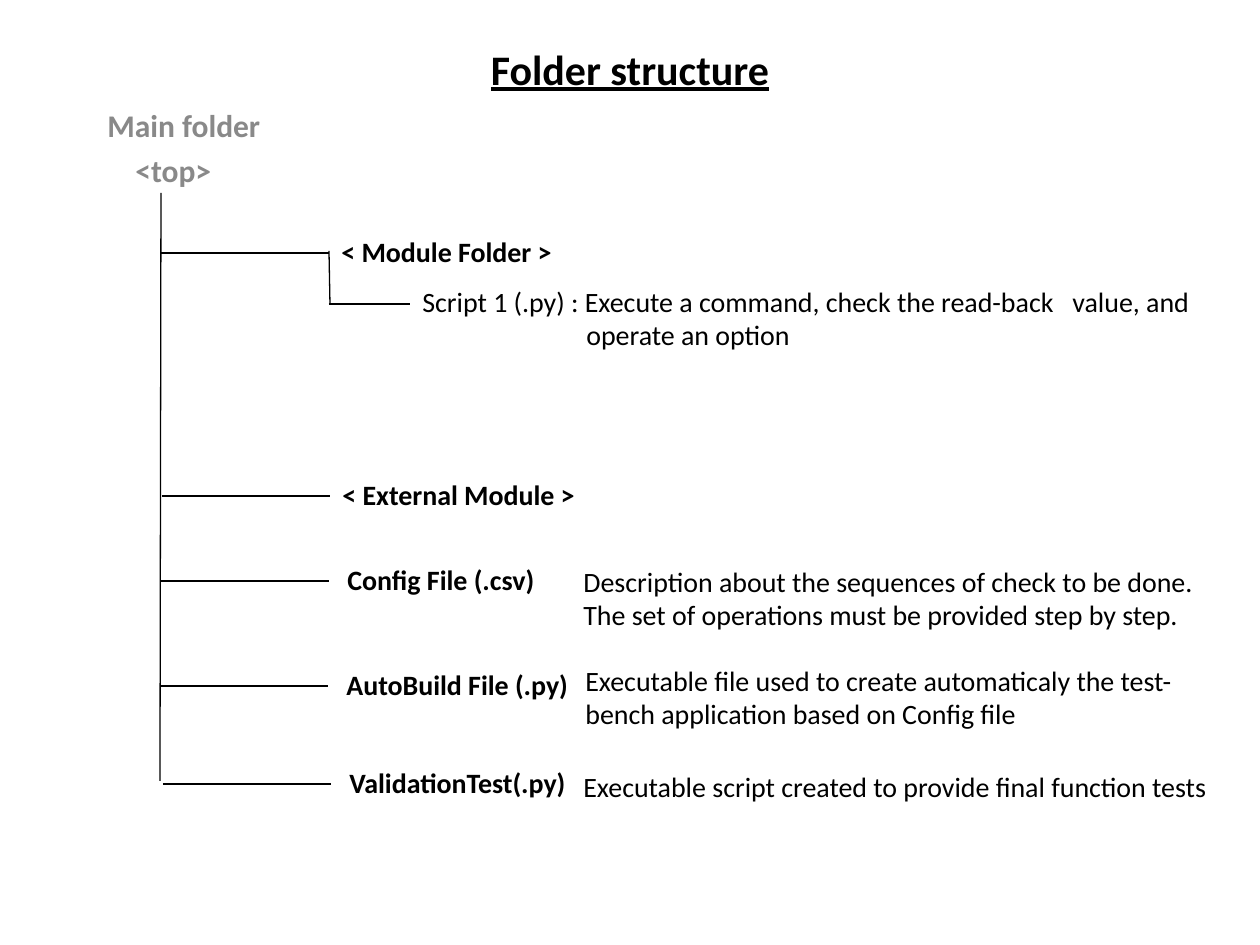
import pptx
import pptx.util
import pptx.dml.color
import pptx.enum.shapes
import pptx.enum.text
import pptx.oxml

SCALE = 914400 / 126  # EMU in one px
COLOURS = {"ink": "000000", "muted": "898989"}
BRANCH = 168  # length of a branch line
LABEL_HEIGHT = 50


def px(length):
    return pptx.util.Emu(round(length * SCALE))


class SlideWriter:
    font = "Calibri"

    def __init__(self, slide):
        self.slide = slide

    def text(self, left, top, width, height, lines, colour="ink", size=16,
             before=0, align=pptx.enum.text.PP_ALIGN.LEFT, **formats):
        """Lines are (text, indent in px) pairs."""
        box = self.slide.shapes.add_textbox(px(left), px(top), px(width), px(height))
        frame = box.text_frame
        frame.word_wrap = True
        for index, (wording, indent) in enumerate(lines):
            para = frame.add_paragraph() if index else frame.paragraphs[0]
            para.alignment = align
            para.space_before = pptx.util.Pt(before)
            if indent:
                para._p.get_or_add_pPr().set("marL", str(px(indent)))
            span = para.add_run()
            span.text = wording
            values = {"name": self.font, "size": pptx.util.Pt(size), **formats}
            for name, value in values.items():
                setattr(span.font, name, value)
            span.font.color.rgb = pptx.dml.color.RGBColor.from_string(COLOURS[colour])
        return box

    def line(self, x1, y1, x2, y2, target=None):
        """Draw a line; join its end to the left side of target if given."""
        line = self.slide.shapes.add_connector(
            pptx.enum.shapes.MSO_CONNECTOR.STRAIGHT, px(x1), px(y1), px(x2), px(y2))
        line.line.width = pptx.util.Pt(0.75)
        line.line.color.rgb = pptx.dml.color.RGBColor.from_string(COLOURS["ink"])
        properties = line._element.spPr
        properties.append(pptx.oxml.parse_xml(
            '<a:effectLst xmlns:a="http://schemas.openxmlformats.org/drawingml/2006/main"/>'))
        if target is not None:
            line.end_connect(target, 1)

    def branch(self, left, middle, label, indent):
        box = self.text(left, middle - LABEL_HEIGHT // 2, 348, LABEL_HEIGHT,
                        [(label, indent)], bold=True)
        self.line(left - BRANCH, middle, left, middle, box)


def main():
    deck = pptx.Presentation()
    deck.slide_width, deck.slide_height = px(1260), px(945)
    page = SlideWriter(deck.slides.add_slide(deck.slide_layouts[6]))

    # Title and top folder
    page.text(0, 37, 1260, 63, [("Folder structure", 0)], size=24, bold=True,
              underline=True, align=pptx.enum.text.PP_ALIGN.CENTER)
    page.text(95, 100, 1052, 745, [("Main folder", 0), ("<top>", 28)],
              colour="muted", size=18, before=4, bold=True)

    # Trunk and its branches: left, middle, label, indent
    page.line(161, 193, 160, 781)
    for branch in [
        (329, 253, "< Module Folder >", 0),
        (330, 496, "< External Module >", 0),
        (329, 581, "Config File (.csv)", 6),
        (328, 686, "AutoBuild File (.py)", 6),
        (331, 784, "ValidationTest(.py)", 6),
    ]:
        page.branch(*branch)

    # Script inside the module folder
    page.line(330, 304, 329, 251)
    page.line(329, 304, 410, 304)
    page.text(410, 278, 835, 81, [
        ("Script 1 (.py) : Execute a command, check the read-back   value, and", 0),
        ("operate an option", 164)])

    # Descriptions
    for left, top, height, wording in [
        (571, 558, 81, "Description about the sequences of check to be done. "
                       "The set of operations must be provided step by step."),
        (573, 657, 81, "Executable file used to create automaticaly the test-bench "
                       "application based on Config file"),
        (571, 763, 47, "Executable script created to provide final function tests"),
    ]:
        page.text(left, top, 674, height, [(wording, 0)])

    deck.save("out.pptx")


if __name__ == "__main__":
    main()
